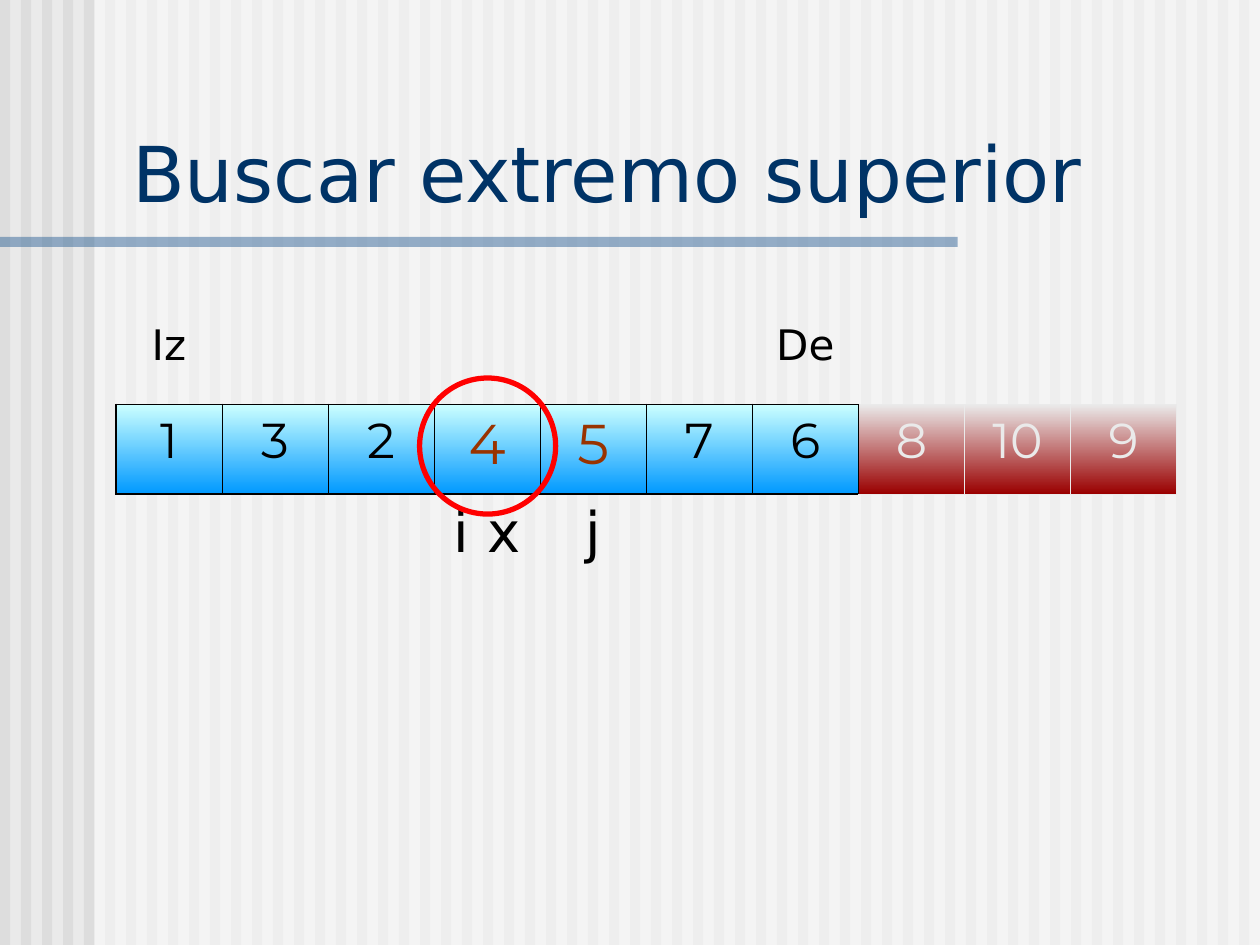
from lxml import etree
from pptx import Presentation
from pptx.dml.color import RGBColor
from pptx.enum.shapes import MSO_SHAPE
from pptx.enum.text import MSO_ANCHOR, PP_ALIGN
from pptx.oxml.ns import qn
from pptx.util import Inches, Pt

RECT, OVAL = MSO_SHAPE.RECTANGLE, MSO_SHAPE.OVAL
CENTER, BOTTOM = PP_ALIGN.CENTER, MSO_ANCHOR.BOTTOM
SANS, MONT = "DejaVu Sans", "Montserrat"

COLORS = {
    "paper": "EAEAEA", "stripe": "DDDDDD", "white": "FFFFFF", "rule": "336699",
    "title": "003366", "black": "000000", "brown": "993300", "red": "FF0000",
    "sky": "CCFFFF", "blue": "0099FF", "wine": "9A0000",
}
TITLE = "Buscar extremo superior"
VALUES = [1, 3, 2, 4, 5, 7, 6, 8, 10, 9]
ACTIVE = 7
MARKED = (3, 4)
ENDS = {0: "Iz", 6: "De"}
INDEXES = {3: "i x", 4: "j"}
HEIGHTS = [0.71, 0.71, 1.28]
STRIPES = 60


def rgb(name):
    return RGBColor.from_string(COLORS[name])


def style(para, size, face, color):
    para.font.size = Pt(size)
    para.font.name = face
    para.font.color.rgb = rgb(color)


def add_box(slide, kind, box, fill=None, alpha=None):
    shape = slide.shapes.add_shape(kind, *map(Inches, box))
    shape.shadow.inherit = False
    shape.line.fill.background()
    if fill:
        shape.fill.solid()
        shape.fill.fore_color.rgb = rgb(fill)
    else:
        shape.fill.background()
    if alpha:
        tint = shape.fill._xPr.find(".//" + qn("a:srgbClr"))
        etree.SubElement(tint, qn("a:alpha"), val=str(alpha * 1000))
    return shape


def set_edges(cell, edges):
    props = cell._tc.get_or_add_tcPr()
    for side in "LRTB":
        color, width = edges.get(side, (None, 0))
        line = etree.SubElement(props, qn("a:ln" + side), w=str(Pt(width)))
        if color:
            fill = etree.SubElement(line, qn("a:solidFill"))
            etree.SubElement(fill, qn("a:srgbClr"), val=COLORS[color])
        else:
            etree.SubElement(line, qn("a:noFill"))


def find_edges(row, col):
    thick, thin, pale = ("black", 1.08), ("black", 0.45), ("paper", 0.45)
    level = thick if col < ACTIVE else pale
    if row == 0:
        return {"B": level}
    if row == 2:
        return {"T": level}
    left = thick if col == 0 else thin if col <= ACTIVE else pale
    right = thin if col < ACTIVE else pale
    return {"L": left, "R": right, "T": level, "B": level}


def fill_cell(cell, shades):
    if not shades:
        cell.fill.background()
        return
    cell.fill.gradient()
    cell.fill.gradient_angle = 270
    for stop, shade in zip(cell.fill.gradient_stops, shades):
        stop.color.rgb = rgb(shade)


def find_text(row, col):
    if row == 0:
        return ENDS.get(col, ""), 24, SANS, "black"
    if row == 2:
        return INDEXES.get(col, ""), 32, SANS, "black"
    if col in MARKED:
        return str(VALUES[col]), 32, MONT, "brown"
    return str(VALUES[col]), 28, MONT, "black" if col < ACTIVE else "paper"


def add_grid(slide):
    box = map(Inches, (0.92, 2.5, 8.42, sum(HEIGHTS)))
    table = slide.shapes.add_table(len(HEIGHTS), len(VALUES), *box).table
    table.first_row = table.horz_banding = False
    for row, height in enumerate(HEIGHTS):
        table.rows[row].height = Inches(height)
        for col in range(len(VALUES)):
            cell = table.cell(row, col)
            set_edges(cell, find_edges(row, col))
            shades = ("sky", "blue") if col < ACTIVE else ("paper", "wine")
            fill_cell(cell, shades if row == 1 else None)
            text, size, face, color = find_text(row, col)
            cell.text = text
            para = cell.text_frame.paragraphs[0]
            para.alignment = CENTER
            style(para, size, face, color)


def add_title(slide):
    frame = slide.shapes.add_textbox(*map(Inches, (0.95, 0.94, 8.93, 0.84))).text_frame
    frame.word_wrap = True
    frame.vertical_anchor = BOTTOM
    frame.text = TITLE
    style(frame.paragraphs[0], 44, SANS, "title")


def main():
    deck = Presentation()
    deck.slide_width, deck.slide_height = Inches(10), Inches(7.5)
    slide = deck.slides.add_slide(deck.slide_layouts[6])
    slide.background.fill.solid()
    slide.background.fill.fore_color.rgb = rgb("paper")
    for n in range(STRIPES):
        add_box(slide, RECT, (n * 10 / STRIPES, 0, 0.08, 7.5), "stripe")
    add_box(slide, RECT, (0.75, 0, 9.25, 7.5), "white", 50)
    add_box(slide, RECT, (0, 1.88, 7.6, 0.08), "rule", 50)
    add_grid(slide)
    add_title(slide)
    ring = add_box(slide, OVAL, (3.33, 3, 1.08, 1.08))
    ring.line.color.rgb = rgb("red")
    ring.line.width = Pt(3)
    deck.save("out.pptx")


if __name__ == "__main__":
    main()
